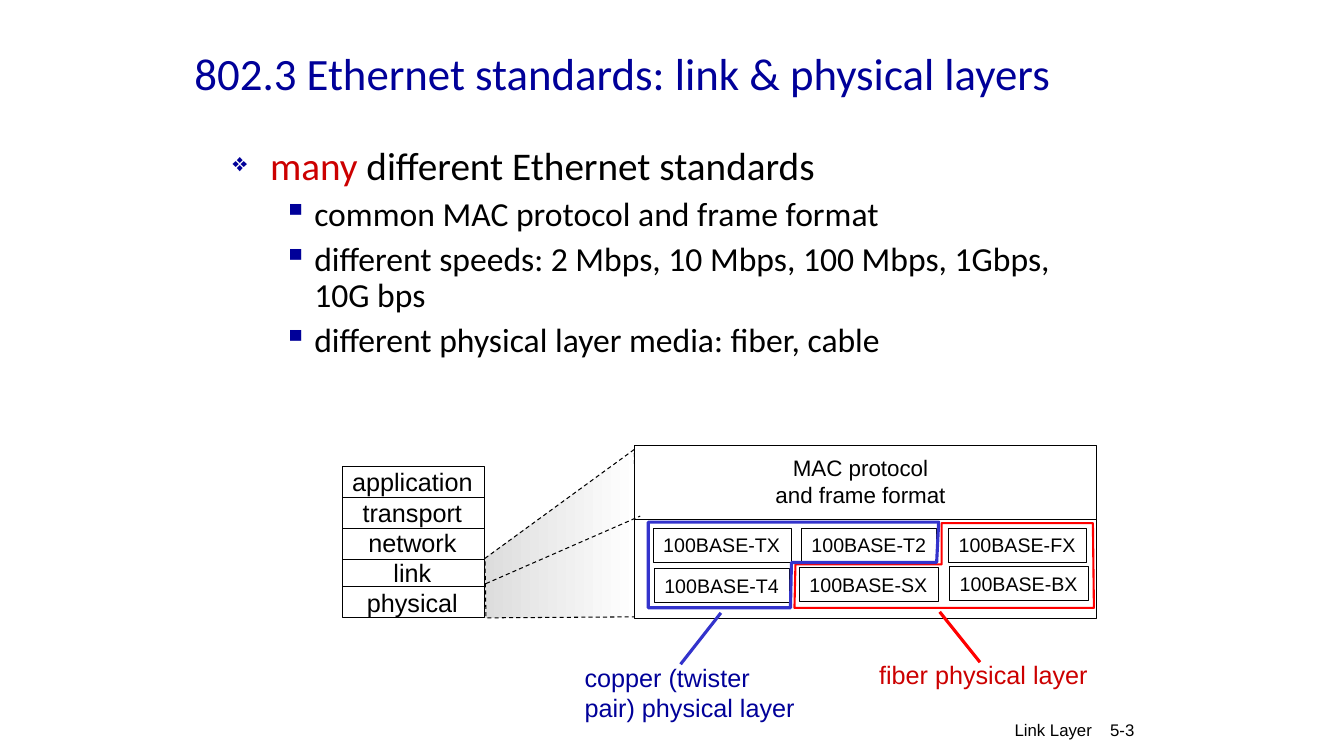
"""Build the slide on 802.3 Ethernet link and physical layers."""
from lxml.etree import SubElement as Sub
from pptx import Presentation
from pptx.dml.color import RGBColor
from pptx.enum.dml import MSO_LINE as Dash
from pptx.enum.shapes import MSO_CONNECTOR as Conn, MSO_SHAPE as Kind
from pptx.enum.text import MSO_ANCHOR as Anchor, MSO_AUTO_SIZE as Auto, PP_ALIGN as Align
from pptx.oxml.ns import qn
from pptx.util import Inches, Pt

BLACK = RGBColor(0, 0, 0)
WHITE = RGBColor(255, 255, 255)
GREY = RGBColor(0xDD, 0xDD, 0xDD)
NAVY = RGBColor(0, 0, 0x99)
BLUE = RGBColor(0x33, 0x33, 0xCC)
CRIMSON = RGBColor(0xCC, 0, 0)
RED = RGBColor(255, 0, 0)

LAYERS = ["application", "transport", "network", "link", "physical"]
MEDIA = [
    ("100BASE-TX", 6.48, 5.24, 1.37),
    ("100BASE-T2", 7.95, 5.24, 1.34),
    ("100BASE-FX", 9.41, 5.24, 1.37),
    ("100BASE-T4", 6.49, 5.64, 1.34),
    ("100BASE-SX", 7.93, 5.63, 1.38),
    ("100BASE-BX", 9.42, 5.62, 1.38),
]
COPPER = [(9.31, 5.18), (9.29, 5.58), (7.85, 5.58), (7.84, 6.03), (6.43, 6.03), (6.43, 5.18)]
FIBER = [(9.34, 5.19), (9.34, 5.6), (7.89, 5.6), (7.88, 6.03), (10.85, 6.03), (10.84, 5.19)]
ZOOM = [(6.29, 4.46), (4.81, 5.54), (4.82, 6.13), (6.33, 6.12)]
POINTS = [
    "common MAC protocol and frame format",
    "different speeds: 2 Mbps, 10 Mbps, 100 Mbps, 1Gbps, 10G bps",
    "different physical layer media: fiber, cable",
]


def add_run(para, text, size, color, font):
    """Add one formatted run to a paragraph."""
    run = para.add_run()
    run.text = text
    run.font.size = Pt(size)
    run.font.name = font
    run.font.color.rgb = color


def write(shape, lines, size=18, color=BLACK, font="Arial", align=Align.LEFT,
          anchor=Anchor.TOP, wrap=False):
    """Fill a shape with one formatted paragraph per line."""
    frame = shape.text_frame
    frame.word_wrap = wrap
    frame.auto_size = Auto.NONE if wrap else Auto.SHAPE_TO_FIT_TEXT
    frame.vertical_anchor = anchor
    for i, line in enumerate(lines):
        para = frame.paragraphs[0] if i == 0 else frame.add_paragraph()
        para.alignment = align
        add_run(para, line, size, color, font)


def add_text(slide, at, lines, **look):
    """Add a text box with the given format."""
    box = slide.shapes.add_textbox(*map(Inches, at))
    write(box, lines, **look)


def set_line(line, color, width, dash=False):
    """Set the colour, width and dash of a line."""
    line.color.rgb = color
    line.width = Pt(width)
    if dash:
        line.dash_style = Dash.DASH


def add_box(slide, at, fill=None):
    """Add a thin black rectangle."""
    box = slide.shapes.add_shape(Kind.RECTANGLE, *map(Inches, at))
    box.shadow.inherit = False
    if fill is None:
        box.fill.background()
    else:
        box.fill.solid()
        box.fill.fore_color.rgb = fill
    set_line(box.line, BLACK, 0.75)
    return box


def add_line(slide, start, end, color=BLACK, width=0.75, dash=False):
    """Add a straight line between two points."""
    line = slide.shapes.add_connector(Conn.STRAIGHT, *map(Inches, start + end))
    set_line(line.line, color, width, dash)
    Sub(line._element.spPr, qn("a:effectLst"))


def add_form(slide, spots, color, width, dash=False):
    """Add a closed outline through the spots."""
    dots = [(Inches(x), Inches(y)) for x, y in spots]
    pen = slide.shapes.build_freeform(*dots[0])
    pen.add_line_segments(dots[1:], close=True)
    form = pen.convert_to_shape()
    form.shadow.inherit = False
    form.fill.background()
    set_line(form.line, color, width, dash)
    return form


def set_mark(para, mark, left, hang, scale=100):
    """Give a paragraph a hanging navy bullet."""
    props = para._p.get_or_add_pPr()
    props.set("marL", str(Inches(left)))
    props.set("indent", str(-Inches(hang)))
    Sub(Sub(props, qn("a:buClr")), qn("a:srgbClr"), val=str(NAVY))
    Sub(props, qn("a:buSzPct"), val=str(scale * 1000))
    Sub(props, qn("a:buChar"), char=mark)
    para.line_spacing = 0.9


def add_list(slide):
    """Add the bulleted list of standards."""
    frame = slide.shapes.add_textbox(*map(Inches, (2.21, 1.41, 8.5, 2.3))).text_frame
    frame.word_wrap = True
    head = frame.paragraphs[0]
    set_mark(head, "❖", 0.37, 0.37, 65)
    add_run(head, "many ", 28, CRIMSON, "Calibri")
    add_run(head, "different Ethernet standards", 28, BLACK, "Calibri")
    for point in POINTS:
        para = frame.add_paragraph()
        para.level = 1
        set_mark(para, "▪", 0.81, 0.31)
        para.space_before = Pt(6)
        add_run(para, point, 24, BLACK, "Calibri")


def add_stack(slide):
    """Add the five-layer protocol stack and its zoom wedge."""
    wedge = add_form(slide, ZOOM, BLACK, 0.75, True)
    wedge.fill.gradient()
    wedge.fill.gradient_angle = 180
    for stop, color in zip(wedge.fill.gradient_stops, (WHITE, GREY)):
        stop.color.rgb = color
    add_box(slide, (3.4, 4.63, 1.41, 1.5), WHITE)
    add_text(slide, (3.39, 4.58, 1.4, 1.62), LAYERS, align=Align.CENTER)
    for y in (4.94, 5.24, 5.55, 5.82):
        add_line(slide, (3.4, y), (4.81, y))


def add_detail(slide):
    """Add the MAC panel with its physical media."""
    add_box(slide, (6.29, 4.42, 4.59, 1.72), WHITE)
    add_line(slide, (6.29, 5.15), (10.88, 5.15))
    add_text(slide, (7.58, 4.46, 1.91, 0.64), ["MAC protocol", "and frame format"],
             size=16, align=Align.CENTER)
    add_line(slide, (4.82, 5.79), (6.35, 5.12), dash=True)
    for name, x, y, width in MEDIA:
        write(add_box(slide, (x, y, width, 0.34)), [name], size=14)


def add_groups(slide):
    """Outline and label the fiber and copper media."""
    add_form(slide, FIBER, RED, 1.5)
    add_line(slide, (9.32, 6.07), (9.72, 6.57), RED, 2.25)
    add_text(slide, (8.62, 6.49, 2.29, 0.41), ["fiber physical layer"], color=CRIMSON)
    add_form(slide, COPPER, BLUE, 2.25)
    add_line(slide, (7.15, 6.08), (6.75, 6.59), BLUE, 2.25)
    add_text(slide, (5.7, 6.52, 2.3, 0.71), ["copper (twister", "pair) physical layer"],
             color=NAVY)


def main():
    """Build and save the slide."""
    deck = Presentation()
    deck.slide_width, deck.slide_height = Inches(13.33), Inches(7.5)
    slide = deck.slides.add_slide(deck.slide_layouts[6])
    for text, x, width in (("Link Layer", 7.76, 3.17), ("5-3", 10.61, 0.74)):
        add_text(slide, (x, 7.09, width, 0.5), [text], size=12, align=Align.RIGHT, wrap=True)
    add_text(slide, (1.83, 0.1, 9.53, 1.25),
             ["802.3 Ethernet standards: link & physical layers"],
             size=32, color=NAVY, font="Calibri", anchor=Anchor.MIDDLE, wrap=True)
    add_list(slide)
    add_stack(slide)
    add_detail(slide)
    add_groups(slide)
    deck.save("out.pptx")


if __name__ == "__main__":
    main()
